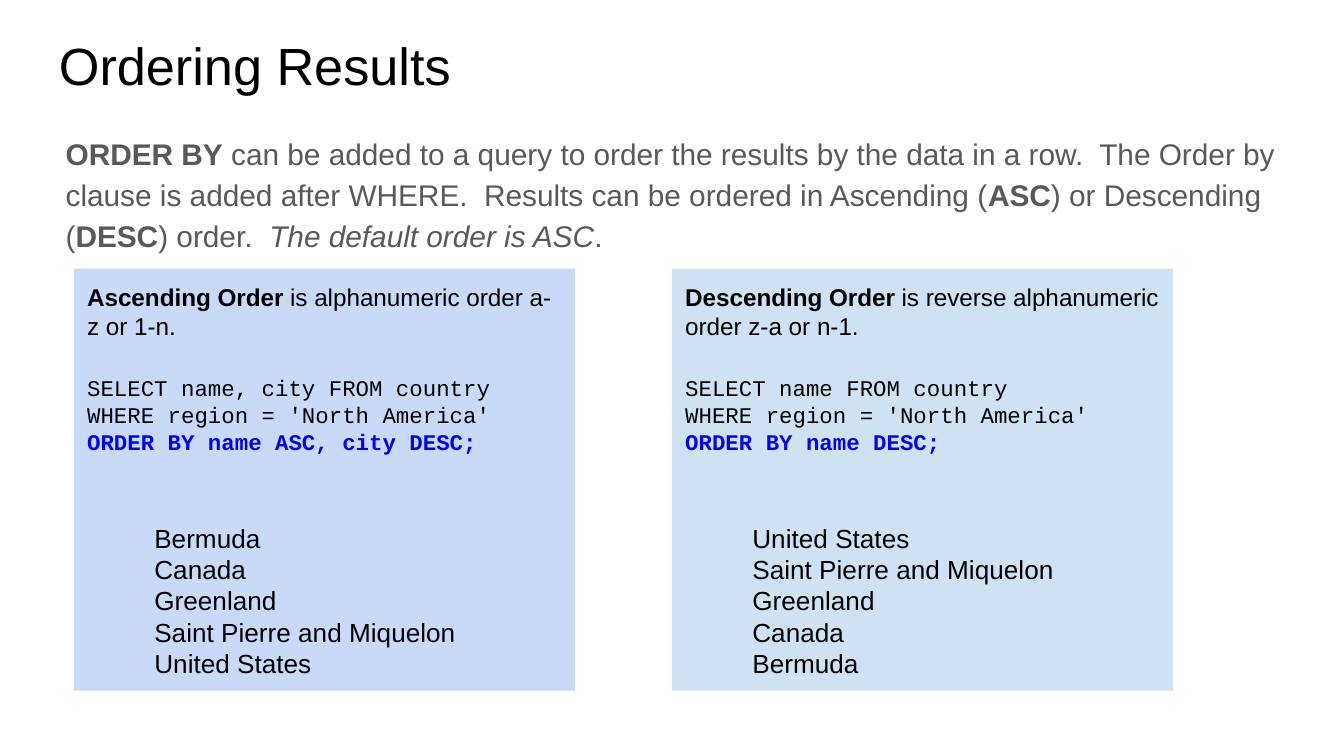
from pptx import Presentation
from pptx.dml.color import RGBColor
from pptx.enum.shapes import MSO_SHAPE
from pptx.enum.text import MSO_ANCHOR, PP_ALIGN
from pptx.util import Inches, Pt

BLACK = RGBColor(0x00, 0x00, 0x00)
GREY = RGBColor(0x59, 0x59, 0x59)
BLUE = RGBColor(0x00, 0x00, 0xFF)
PERIWINKLE = RGBColor(0xC9, 0xDA, 0xF8)
SKY = RGBColor(0xCF, 0xE2, 0xF3)

deck = Presentation()
deck.slide_width = Inches(10)
deck.slide_height = Inches(10 * 9 / 16)
slide = deck.slides.add_slide(deck.slide_layouts[6])


def set_frame(shape):
    """Wrap text from the top with equal margins and return the frame."""
    frame = shape.text_frame
    frame.word_wrap = True
    frame.vertical_anchor = MSO_ANCHOR.TOP
    frame.margin_left = frame.margin_right = Inches(0.1)
    frame.margin_top = frame.margin_bottom = Inches(0.1)
    return frame


def add_line(frame, runs, size, color=BLACK, face="Arial", gap=0):
    """Add a paragraph of (text, style) runs; style is "", "b" or "i"."""
    line = frame.paragraphs[0]
    if line.runs:
        line = frame.add_paragraph()
    line.alignment = PP_ALIGN.LEFT
    if gap:
        line.space_before = Pt(gap)
    font = line.font
    font.name, font.size, font.color.rgb = face, Pt(size), color
    for text, style in runs:
        run = line.add_run()
        run.text = text
        if style == "b":
            run.font.bold = True
        elif style == "i":
            run.font.italic = True
    return line


# Title and introduction
title = slide.shapes.add_textbox(Inches(0.34), Inches(0.15), Inches(9.32), Inches(0.63))
add_line(set_frame(title), [("Ordering Results", "")], 28)

intro = slide.shapes.add_textbox(Inches(0.39), Inches(0.87), Inches(9.32), Inches(0.98))
line = add_line(set_frame(intro), [
    ("ORDER BY", "b"),
    (" can be added to a query to order the results by the data in a row.  "
     "The Order by clause is added after WHERE.  "
     "Results can be ordered in Ascending (", ""),
    ("ASC", "b"),
    (") or Descending (", ""),
    ("DESC", "b"),
    (") order.  ", ""),
    ("The default order is ASC", "i"),
    (".", ""),
], 16, GREY)
line.line_spacing = 1.15

# One panel per sort order
places = ["Bermuda", "Canada", "Greenland", "Saint Pierre and Miquelon", "United States"]
panels = [
    (0.55, PERIWINKLE, "Ascending Order", " is alphanumeric order a-z or 1-n.",
     "SELECT name, city FROM country", "ORDER BY name ASC, city DESC;", places),
    (5, SKY, "Descending Order", " is reverse alphanumeric order z-a or n-1.",
     "SELECT name FROM country", "ORDER BY name DESC;", places[::-1]),
]
for left, fill, term, meaning, select, order, names in panels:
    panel = slide.shapes.add_shape(
        MSO_SHAPE.RECTANGLE, Inches(left), Inches(2), Inches(3.73), Inches(3.14))
    panel.shadow.inherit = False
    panel.fill.solid()
    panel.fill.fore_color.rgb = fill
    panel.line.fill.background()
    frame = set_frame(panel)
    add_line(frame, [(term, "b"), (meaning, "")], 13)
    add_line(frame, [(select, "")], 12, face="Courier New", gap=18)
    add_line(frame, [("WHERE region = 'North America'", "")], 12, face="Courier New")
    add_line(frame, [(order, "b")], 12, BLUE, "Courier New")
    for i, name in enumerate(names):
        line = add_line(frame, [(name, "")], 14, gap=0 if i else 36)
        line._p.get_or_add_pPr().set("marL", str(Inches(0.5)))

deck.save("out.pptx")
